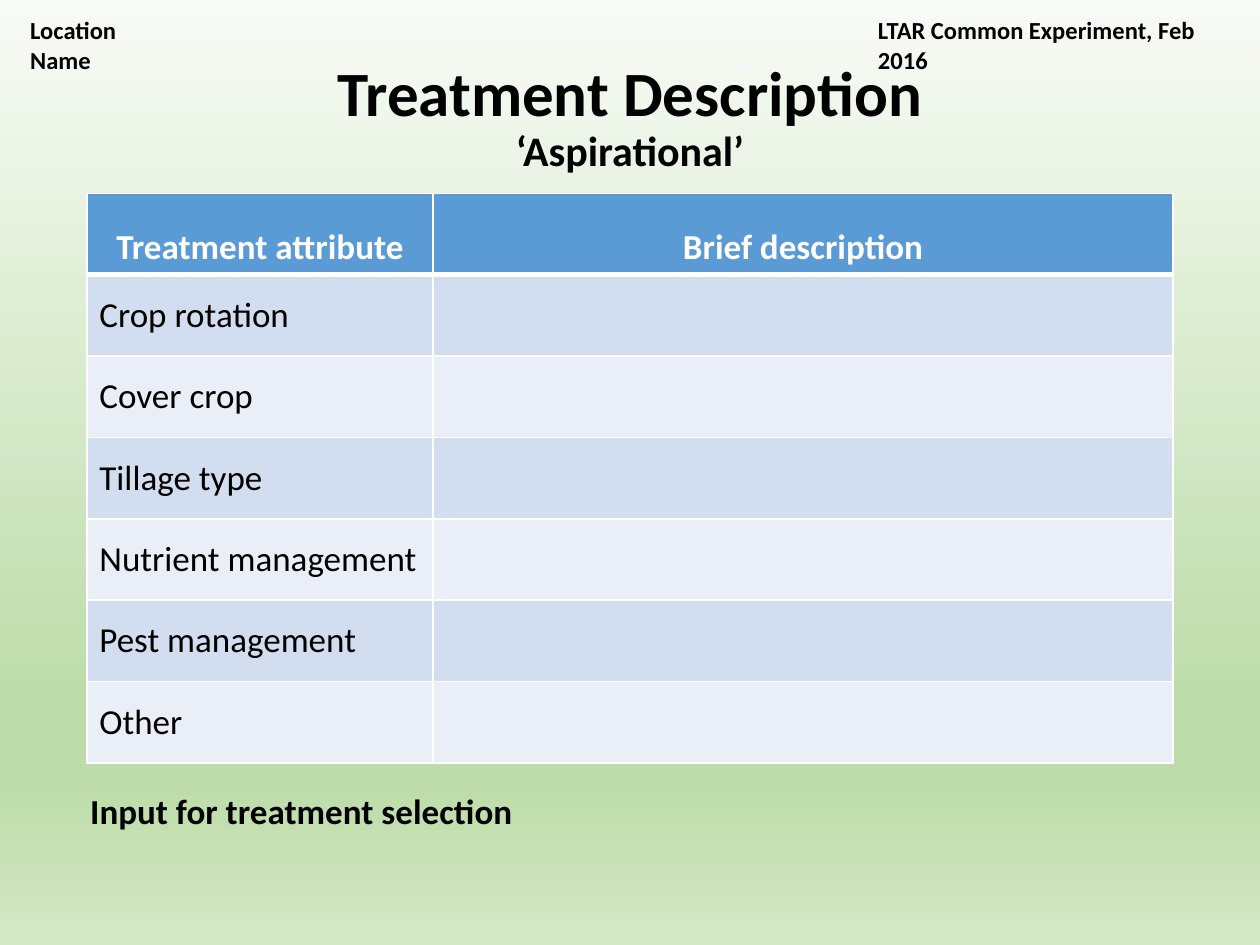
from lxml.etree import SubElement
from pptx import Presentation
from pptx.dml.color import RGBColor
from pptx.enum.text import MSO_ANCHOR, PP_ALIGN
from pptx.oxml.ns import qn
from pptx.util import Cm, Pt

FONT = "Calibri"
BLACK, WHITE, BLUE = "000000", "FFFFFF", "5B9BD5"
BANDS = ["D2DEEF", "EAEFF7"]
STOPS = [(0, "F8FBF6"), (74, "BEDCAA"), (83, "BEDCAA"), (100, "D4E8C6")]
HEADS = ["Treatment attribute", "Brief description"]
ITEMS = ["Crop rotation", "Cover crop", "Tillage type",
         "Nutrient management", "Pest management", "Other"]


def paint(hue):
    """Turn a hex string into a colour."""
    return RGBColor.from_string(hue)


def style(font, size, hue=BLACK, bold=True):
    """Set the face, size, colour and weight of a font."""
    font.name, font.size, font.bold = FONT, Pt(size), bold
    font.color.rgb = paint(hue)


def backdrop(slide):
    """Fill the slide with the green gradient, from top to bottom."""
    fill = slide.background.fill
    fill.gradient()
    fill.gradient_angle = 270
    stops = slide.element.find(".//" + qn("a:gsLst"))
    for stop in list(stops):
        stops.remove(stop)
    for place, hue in STOPS:
        stop = SubElement(stops, qn("a:gs"), pos=str(place * 1000))
        SubElement(stop, qn("a:srgbClr"), val=hue)


def label(slide, box, text, size):
    """Place a bold line of text in a box."""
    frame = slide.shapes.add_textbox(*map(Cm, box)).text_frame
    frame.word_wrap = True
    para = frame.paragraphs[0]
    para.text = text
    style(para.font, size)


def title(slide, box):
    """Place the centred title with its smaller second line."""
    frame = slide.shapes.add_textbox(*map(Cm, box)).text_frame
    frame.word_wrap = True
    frame.vertical_anchor = MSO_ANCHOR.MIDDLE
    para = frame.paragraphs[0]
    para.alignment, para.line_spacing = PP_ALIGN.CENTER, 0.9
    head = para.add_run()
    head.text = "Treatment Description"
    style(head.font, 36)
    para.add_line_break()
    sub = para.add_run()
    sub.text = "‘Aspirational’"
    style(sub.font, 24)


def border(cell, top, base):
    """Draw white lines round a cell, with given top and base widths."""
    props = cell._tc.get_or_add_tcPr()
    for side, width in zip("LRTB", (1, 1, top, base)):
        line = SubElement(props, qn("a:ln" + side), w=str(Pt(width)))
        fill = SubElement(line, qn("a:solidFill"))
        SubElement(fill, qn("a:srgbClr"), val=WHITE)


def grid(slide, box):
    """Place the table of treatment attributes."""
    rows = [HEADS] + [[item, ""] for item in ITEMS]
    table = slide.shapes.add_table(len(rows), 2, *map(Cm, box)).table
    first = 6.98
    table.columns[0].width = Cm(first)
    table.columns[1].width = Cm(box[2] - first)
    for i, row in enumerate(rows):
        top = i == 0
        table.rows[i].height = Cm(box[3] / len(rows))
        for j, text in enumerate(row):
            cell = table.cell(i, j)
            border(cell, 3 if i == 1 else 1, 3 if top else 1)
            cell.fill.solid()
            cell.fill.fore_color.rgb = paint(BLUE if top else BANDS[(i - 1) % 2])
            cell.vertical_anchor = MSO_ANCHOR.BOTTOM if top else MSO_ANCHOR.MIDDLE
            para = cell.text_frame.paragraphs[0]
            para.text = text
            para.alignment = PP_ALIGN.CENTER if top else PP_ALIGN.LEFT
            style(para.font, 20, WHITE if top else BLACK, top)


def main():
    """Build the slide and save it."""
    deck = Presentation()
    deck.slide_width, deck.slide_height = Cm(25.4), Cm(19.05)
    slide = deck.slides.add_slide(deck.slide_layouts[6])
    backdrop(slide)
    label(slide, (0.36, 0.18, 3.4, 0.86), "Location Name", 14)
    label(slide, (17.45, 0.18, 7.95, 0.86), "LTAR Common Experiment, Feb 2016", 14)
    title(slide, (1.75, 1.02, 21.9, 2.74))
    grid(slide, (1.75, 3.9, 21.9, 11.48))
    label(slide, (1.57, 15.8, 22.1, 1.12), "Input for treatment selection", 20)
    deck.save("out.pptx")


if __name__ == "__main__":
    main()
